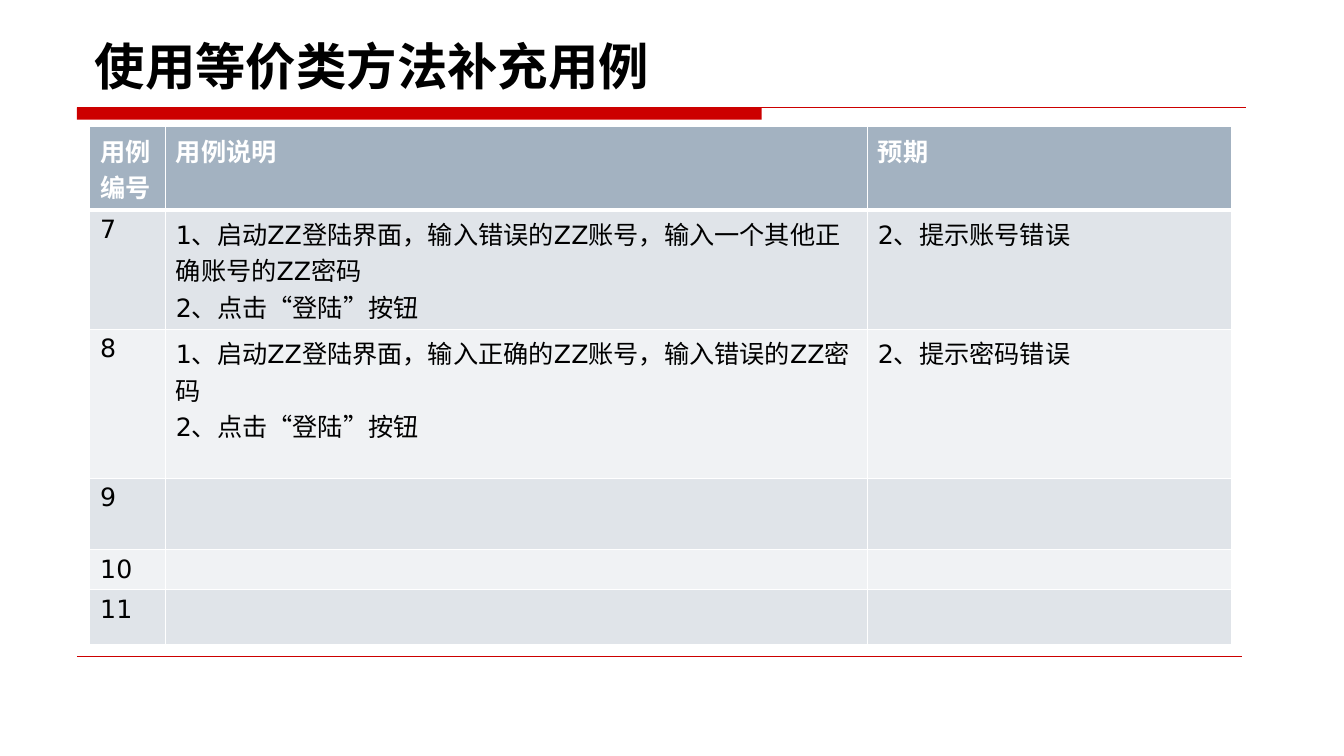
import pptx
import pptx.dml.color
import pptx.enum.shapes
import pptx.enum.text
import pptx.oxml
import pptx.oxml.ns
import pptx.util

Pt = pptx.util.Pt
qn = pptx.oxml.ns.qn
INK = {"red": "CC0000", "head": "A3B2C1", "odd": "E0E4E9",
       "even": "F0F2F4", "white": "FFFFFF", "black": "000000"}
SANS = "DejaVu Sans"
HAN = "Noto Sans CJK SC"
COLS = [54, 501.5, 260.5]
STEPS = "2、点击“登陆”按钮"
ROWS = [
    (58.5, ["用例编号", "用例说明", "预期"]),
    (85, ["7", "1、启动ZZ登陆界面，输入错误的ZZ账号，输入一个其他正确账号的ZZ密码\n"
          + STEPS, "2、提示账号错误"]),
    (106.5, ["8", "1、启动ZZ登陆界面，输入正确的ZZ账号，输入错误的ZZ密码\n"
             + STEPS, "2、提示密码错误"]),
    (51, ["9", "", ""]),
    (28.5, ["10", "", ""]),
    (39, ["11", "", ""]),
]


def tint(name):
    return pptx.dml.color.RGBColor.from_string(INK[name])


def paint(shape, name):
    shape.fill.solid()
    shape.fill.fore_color.rgb = tint(name)


def style(para, size, face, name, bold):
    font = para.font
    font.size, font.name, font.bold = Pt(size), face, bold
    font.color.rgb = tint(name)
    east = pptx.oxml.parse_xml(
        f'<a:ea {pptx.oxml.ns.nsdecls("a")} typeface="{HAN}"/>')
    para._p.pPr.find(qn("a:defRPr")).find(qn("a:latin")).addnext(east)


def add_title(slide, text):
    title = slide.shapes.title
    title.left, title.top = Pt(60.5), Pt(21)
    title.width, title.height = Pt(517), Pt(51)
    frame = title.text_frame
    frame.text = text
    frame.word_wrap = True
    frame.auto_size = pptx.enum.text.MSO_AUTO_SIZE.NONE
    frame.vertical_anchor = pptx.enum.text.MSO_ANCHOR.MIDDLE
    para = frame.paragraphs[0]
    para.alignment = pptx.enum.text.PP_ALIGN.LEFT
    style(para, 36, HAN, "black", True)
    para._p.pPr.set("marL", str(Pt(27)))
    para._p.pPr.set("indent", str(Pt(-27)))


def add_bar(slide, left, top, width, height):
    bar = slide.shapes.add_shape(
        pptx.enum.shapes.MSO_SHAPE.RECTANGLE,
        Pt(left), Pt(top), Pt(width), Pt(height))
    bar.shadow.inherit = False
    paint(bar, "red")
    bar.line.fill.background()


def add_rule(slide, left, right, top, weight):
    rule = slide.shapes.add_connector(
        pptx.enum.shapes.MSO_CONNECTOR.STRAIGHT,
        Pt(left), Pt(top), Pt(right), Pt(top))
    rule.line.color.rgb = tint("red")
    rule.line.width = Pt(weight)
    rule._element.spPr.append(pptx.oxml.parse_xml(
        f'<a:effectLst {pptx.oxml.ns.nsdecls("a")}/>'))


def edge(cell, row):
    props = cell._tc.get_or_add_tcPr()
    thick = {"T": 3 if row == 1 else 1, "B": 3 if row == 0 else 1}
    for spot, side in enumerate("LRTB"):
        props.insert(spot, pptx.oxml.parse_xml(
            f'<a:ln{side} {pptx.oxml.ns.nsdecls("a")} '
            f'w="{Pt(thick.get(side, 1))}"><a:solidFill>'
            f'<a:srgbClr val="{INK["white"]}"/></a:solidFill></a:ln{side}>'))


def fill_cell(cell, text, row):
    cell.text = text
    cell.margin_left = cell.margin_right = Pt(7.6)
    cell.margin_top = cell.margin_bottom = Pt(3.6)
    paint(cell, "head" if row == 0 else "odd" if row % 2 else "even")
    for para in cell.text_frame.paragraphs:
        style(para, 18, SANS, "black" if row else "white", row == 0)
    edge(cell, row)


def add_grid(slide, left, top):
    high = sum(size for size, _ in ROWS)
    grid = slide.shapes.add_table(
        len(ROWS), len(COLS), Pt(left), Pt(top), Pt(sum(COLS)), Pt(high)).table
    for col, width in zip(grid.columns, COLS):
        col.width = Pt(width)
    for row, (size, texts) in enumerate(ROWS):
        grid.rows[row].height = Pt(size)
        for col, text in enumerate(texts):
            fill_cell(grid.cell(row, col), text, row)


def main():
    """Build the slide with its title, red rules and test case table."""
    deck = pptx.Presentation()
    deck.slide_width, deck.slide_height = Pt(960), Pt(540)
    slide = deck.slides.add_slide(deck.slide_layouts[5])
    add_bar(slide, 55, 77, 489, 8.5)
    add_rule(slide, 55, 890, 77, 0.75)
    add_rule(slide, 55, 887, 468.5, 0.25)
    add_grid(slide, 64, 90.5)
    add_title(slide, "使用等价类方法补充用例")
    deck.save("out.pptx")


if __name__ == "__main__":
    main()
